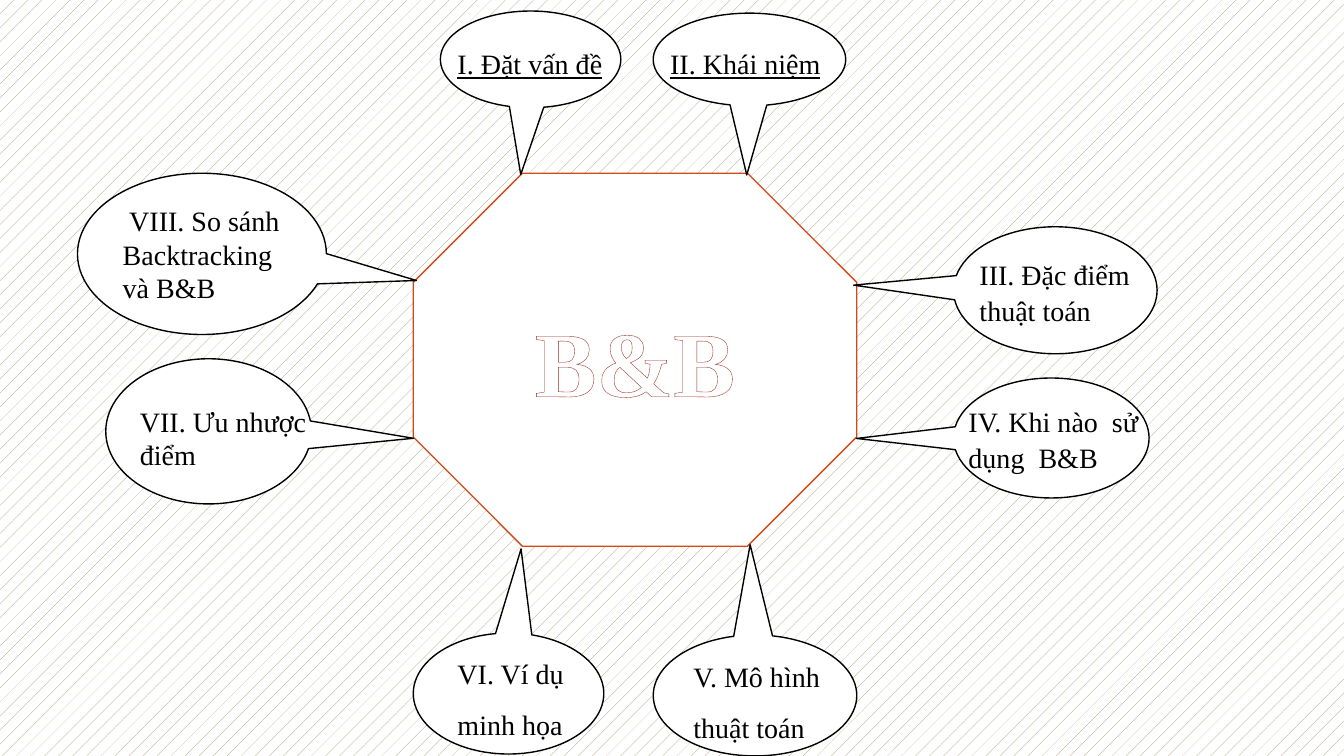
from dataclasses import dataclass
from typing import NamedTuple

from lxml.etree import SubElement
from pptx import Presentation
from pptx.dml.color import RGBColor
from pptx.enum.dml import MSO_PATTERN
from pptx.enum.shapes import MSO_SHAPE
from pptx.enum.text import MSO_ANCHOR, MSO_AUTO_SIZE, PP_ALIGN
from pptx.oxml.ns import qn
from pptx.shapes.autoshape import Shape
from pptx.slide import Slide
from pptx.util import Pt

WHITE = RGBColor(0xFF, 0xFF, 0xFF)
BLACK = RGBColor(0x00, 0x00, 0x00)
SAND = RGBColor(0xA2, 0x8E, 0x6A)
ORANGE = RGBColor(0xD3, 0x48, 0x17)
MAROON = RGBColor(0x9B, 0x2D, 0x1F)
FONT = "Times New Roman"


class Box(NamedTuple):
    left: float
    top: float
    width: float
    height: float


class Point(NamedTuple):
    x: float
    y: float


@dataclass
class Topic:
    text: str
    bubble: Box
    tip: Point
    label: Box
    spacing: float = 1.0
    space_after: float = 0
    underline: bool = False
    align: PP_ALIGN = PP_ALIGN.LEFT


TOPICS = [
    Topic("I. Đặt vấn đề", Box(314.6, 7.9, 128.9, 69.1), Point(372, 124.7),
          Box(319.7, 18, 126, 39.6), 1.5, underline=True, align=PP_ALIGN.JUSTIFY),
    Topic("II. Khái niệm", Box(466.6, 9.4, 137.5, 66.2), Point(533.4, 125),
          Box(471.6, 18, 128.2, 39.6), 1.5, underline=True),
    Topic("III. Đặc điểm thuật toán", Box(681.1, 162, 145.4, 90.7), Point(609.7, 203.7),
          Box(692.6, 178.6, 151.2, 57.6), 1.07, 8),
    Topic("IV. Khi nào  sử dụng  B&B", Box(681.1, 270, 139.7, 85.7), Point(611.8, 313.2),
          Box(684.7, 283.7, 153.4, 57.6), 1.07, 8),
    Topic("V. Mô hình thuật toán", Box(466.6, 453.6, 145.4, 86.4), Point(535.8, 389.1),
          Box(488.2, 455.8, 123.8, 75.6), 1.5, 8),
    Topic("VI. Ví dụ minh họa", Box(295.2, 452.2, 136.1, 86.4), Point(372.2, 392.1),
          Box(319.7, 453.6, 109.4, 75.6), 1.5, 8),
    Topic("VII. Ưu nhược điểm", Box(75.6, 256.3, 146.9, 103.7), Point(295.3, 313.1),
          Box(92.9, 285.1, 163.4, 55.4)),
    Topic(" VIII. So sánh Backtracking và B&B", Box(55.4, 123.8, 177.8, 115.2),
          Point(297.5, 200.4), Box(80.6, 141.8, 139.7, 79.9)),
]


def add_outlined(slide: Slide, kind: MSO_SHAPE, box: Box, line: RGBColor) -> Shape:
    outlined = slide.shapes.add_shape(kind, *map(Pt, box))
    outlined.shadow.inherit = False
    outlined.fill.solid()
    outlined.fill.fore_color.rgb = WHITE
    outlined.line.color.rgb = line
    outlined.line.width = Pt(1)
    return outlined


def add_hub(slide: Slide) -> None:
    hub = add_outlined(slide, MSO_SHAPE.OCTAGON, Box(295.2, 123.8, 316.8, 266.4), ORANGE)
    hub.text_frame.vertical_anchor = MSO_ANCHOR.MIDDLE
    title = hub.text_frame.paragraphs[0]
    title.alignment = PP_ALIGN.CENTER
    title.font.name = FONT
    title.font.size = Pt(66)
    title.font.bold = True
    title.font.color.rgb = WHITE
    letters = title.add_run()
    letters.text = "B&B"
    letters.font.color.rgb = WHITE
    properties = letters._r.get_or_add_rPr()
    contour = SubElement(properties, qn("a:ln"), w=str(Pt(0.52)))
    contour_fill = SubElement(contour, qn("a:solidFill"))
    SubElement(contour_fill, qn("a:srgbClr"), val=str(MAROON))
    properties.insert(0, contour)


def add_bubble(slide: Slide, topic: Topic) -> None:
    box, tip = topic.bubble, topic.tip
    bubble = add_outlined(slide, MSO_SHAPE.OVAL_CALLOUT, box, BLACK)
    bubble.adjustments[0] = (tip.x - box.left) / box.width - 0.5
    bubble.adjustments[1] = (tip.y - box.top) / box.height - 0.5


def add_label(slide: Slide, topic: Topic) -> None:
    frame = slide.shapes.add_textbox(*map(Pt, topic.label)).text_frame
    frame.word_wrap = True
    frame.auto_size = MSO_AUTO_SIZE.SHAPE_TO_FIT_TEXT
    heading = frame.paragraphs[0]
    heading.text = topic.text
    heading.alignment = topic.align
    heading.line_spacing = topic.spacing
    heading.space_after = Pt(topic.space_after)
    heading.font.name = FONT
    heading.font.size = Pt(20)
    heading.font.underline = topic.underline
    heading.font.color.rgb = BLACK


def main() -> None:
    deck = Presentation()
    deck.slide_width = Pt(960)
    deck.slide_height = Pt(540)
    slide = deck.slides.add_slide(deck.slide_layouts[6])
    backdrop = slide.background.fill
    backdrop.patterned()
    backdrop.pattern = MSO_PATTERN.PERCENT_5
    backdrop.fore_color.rgb = SAND
    backdrop.back_color.rgb = WHITE
    add_hub(slide)
    for topic in TOPICS:
        add_bubble(slide, topic)
    for topic in TOPICS:
        add_label(slide, topic)
    deck.save("out.pptx")


if __name__ == "__main__":
    main()
